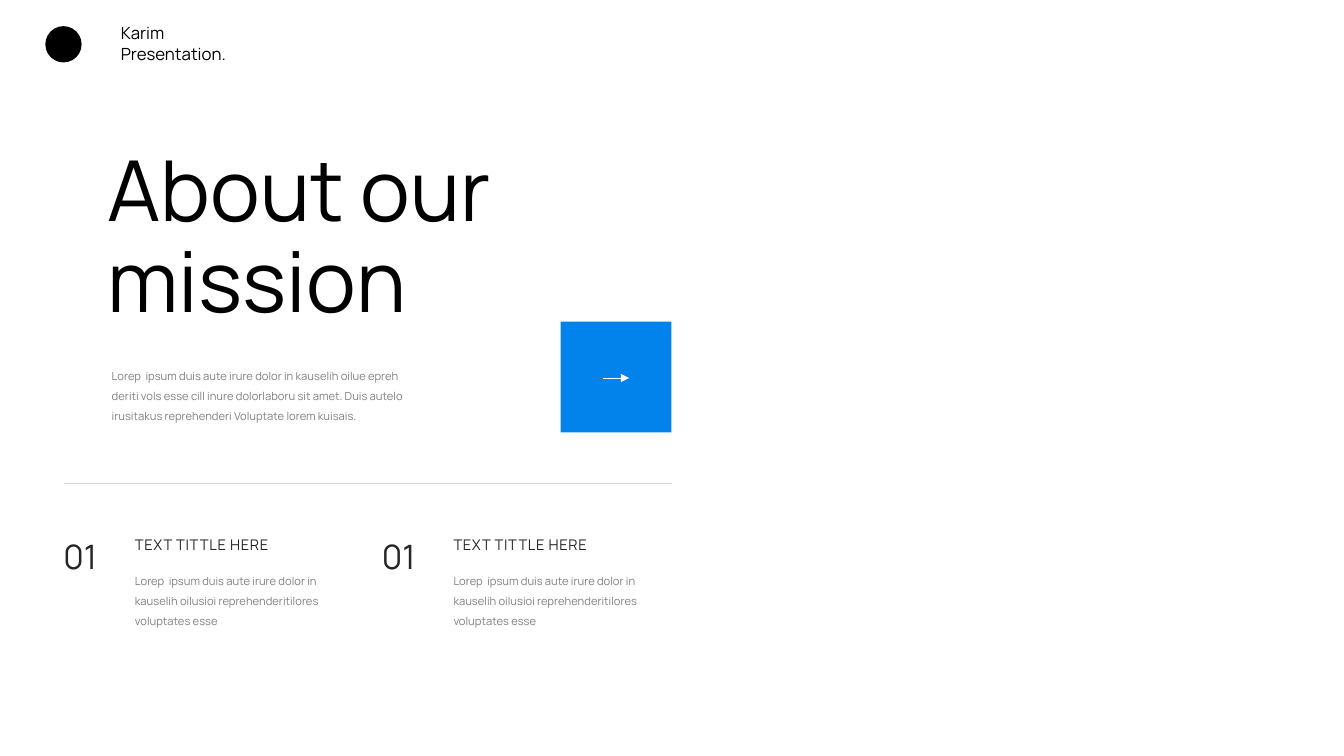
import pptx
import pptx.dml.color
import pptx.enum.shapes
import pptx.enum.text
import pptx.oxml
import pptx.oxml.ns
import pptx.util
from pptx.util import Inches

COLORS = {
    "black": "000000",
    "dark": "262626",
    "gray": "808080",
    "rule": "D9D9D9",
    "blue": "0283EB",
    "white": "FFFFFF",
}
FORMATS = {
    "brand": {"size": 12, "color": "black"},
    "title": {"size": 60, "color": "black", "line_spacing": 0.9, "wrap": False},
    "body": {"size": 8, "color": "gray", "line_spacing": 1.5},
    "heading": {"size": 10.5, "color": "dark", "tracking": 50},
    "number": {"size": 24, "color": "dark"},
}
MISSION = [
    "Lorep  ipsum duis aute irure dolor in kauselih oilue epreh",
    "deriti vols esse cill inure dolorlaboru sit amet. Duis autelo "
    "irusitakus reprehenderi Voluptate lorem kuisais.",
]
POINTS = [
    (
        "01",
        "TEXT TITTLE HERE",
        "Lorep  ipsum duis aute irure dolor in kauselih oilusioi "
        "reprehenderitilores voluptates esse",
    ),
] * 2
POINT_LEFT = 0.53
POINT_STEP = 3.16


def rgb(name):
    return pptx.dml.color.RGBColor.from_string(COLORS[name])


def add_text(slide, box, lines, style):
    style_format = FORMATS[style]
    shape = slide.shapes.add_textbox(*map(Inches, box))
    frame = shape.text_frame
    frame.word_wrap = style_format.get("wrap", True)
    frame.auto_size = pptx.enum.text.MSO_AUTO_SIZE.SHAPE_TO_FIT_TEXT
    font_values = {"name": "Manrope", "size": pptx.util.Pt(style_format["size"])}
    for index, line in enumerate(lines):
        paragraph = frame.add_paragraph() if index else frame.paragraphs[0]
        paragraph.line_spacing = style_format.get("line_spacing")
        run = paragraph.add_run()
        run.text = line
        for attribute, value in font_values.items():
            setattr(run.font, attribute, value)
        run.font.color.rgb = rgb(style_format["color"])
        if "tracking" in style_format:
            run.font._element.set("spc", str(style_format["tracking"]))


def add_block(slide, kind, box, color):
    shape = slide.shapes.add_shape(kind, *map(Inches, box))
    shape.shadow.inherit = False
    shape.fill.solid()
    shape.fill.fore_color.rgb = rgb(color)
    shape.line.fill.background()


def add_line(slide, start, end, color, arrow=False):
    connector = slide.shapes.add_connector(
        pptx.enum.shapes.MSO_CONNECTOR.STRAIGHT, *map(Inches, start + end)
    )
    connector.line.color.rgb = rgb(color)
    connector.line.width = pptx.util.Pt(0.5)
    properties = connector._element.spPr
    if arrow:
        head = pptx.oxml.parse_xml(
            f'<a:tailEnd {pptx.oxml.ns.nsdecls("a")} type="triangle"/>'
        )
        connector.line._get_or_add_ln().append(head)
    properties.append(
        pptx.oxml.parse_xml(f'<a:effectLst {pptx.oxml.ns.nsdecls("a")}/>')
    )


def add_point(slide, left, number, heading, body):
    text_left = left + 0.71
    add_text(slide, (left, 5.27, 0.84, 0.5), [number], "number")
    add_text(slide, (text_left, 5.27, 1.59, 0.29), [heading], "heading")
    add_text(slide, (text_left, 5.58, 2.27, 0.69), [body], "body")


def main():
    presentation = pptx.Presentation()
    presentation.slide_width = Inches(13.33)
    presentation.slide_height = Inches(7.5)
    slide = presentation.slides.add_slide(presentation.slide_layouts[6])
    shapes = pptx.enum.shapes.MSO_SHAPE

    add_block(slide, shapes.OVAL, (0.45, 0.26, 0.36, 0.36), "black")
    add_text(slide, (1.1, 0.18, 1.31, 0.5), ["Karim", "Presentation."], "brand")
    add_text(slide, (0.97, 1.43, 4.41, 1.93), ["About our", "mission"], "title")
    add_text(slide, (1.01, 3.55, 3.45, 0.69), MISSION, "body")
    add_block(slide, shapes.RECTANGLE, (5.56, 3.19, 1.1, 1.1), "blue")
    add_line(slide, (5.98, 3.75), (6.24, 3.75), "white", arrow=True)
    add_line(slide, (0.63, 4.8), (6.67, 4.8), "rule")
    for index, point in enumerate(POINTS):
        add_point(slide, POINT_LEFT + index * POINT_STEP, *point)

    presentation.save("out.pptx")


if __name__ == "__main__":
    main()
